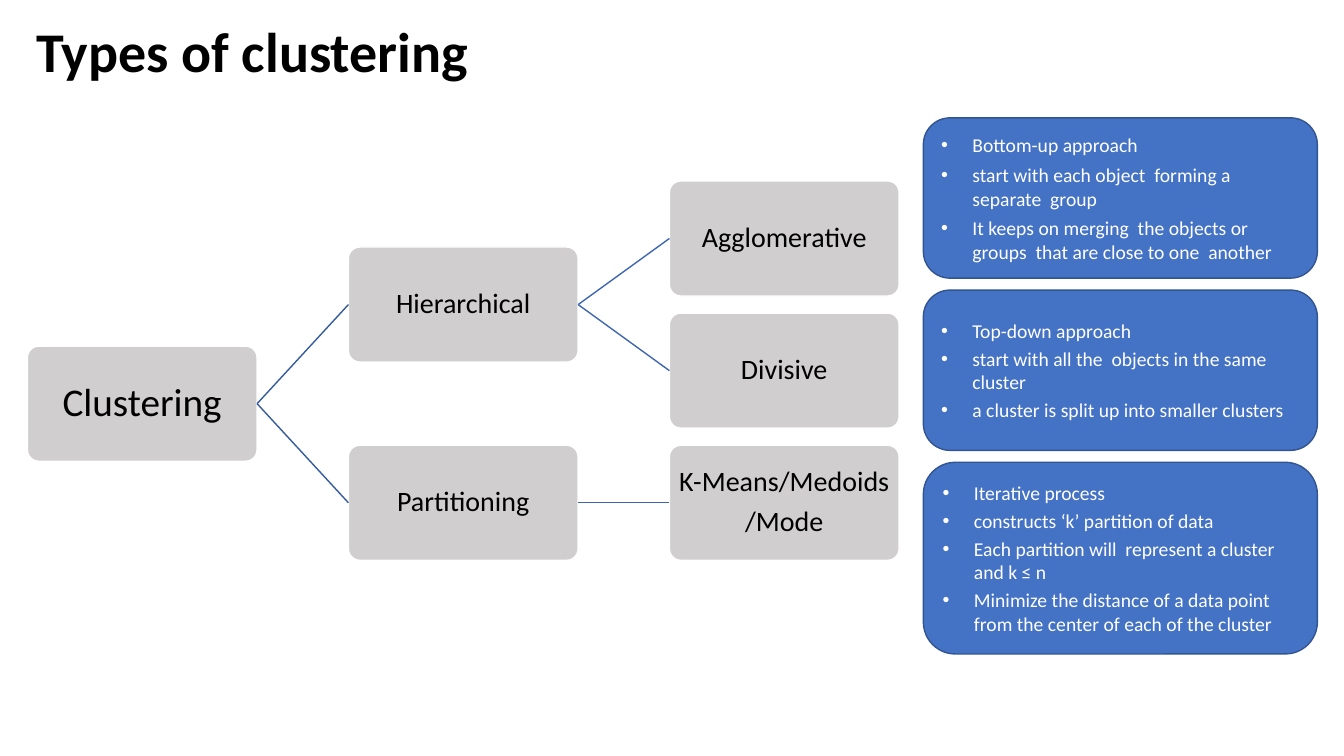
from dataclasses import dataclass

from lxml import etree
from pptx import Presentation
from pptx.dml.color import RGBColor
from pptx.enum.shapes import MSO_CONNECTOR, MSO_SHAPE
from pptx.enum.text import MSO_ANCHOR, PP_ALIGN
from pptx.oxml.ns import qn
from pptx.util import Cm, Pt

ROUND = MSO_SHAPE.ROUNDED_RECTANGLE
STRAIGHT = MSO_CONNECTOR.STRAIGHT
MIDDLE = MSO_ANCHOR.MIDDLE
LEFT, CENTER = PP_ALIGN.LEFT, PP_ALIGN.CENTER
SIDE_LEFT, SIDE_RIGHT = 1, 3


@dataclass(frozen=True)
class Theme:
    font: str = "Calibri"
    ink: str = "000000"
    paper: str = "FFFFFF"
    node: str = "D0CECE"
    card: str = "4472C4"
    rim: str = "325491"
    stem: str = "365B9D"
    twig: str = "3E67B2"
    title: int = 40
    root: int = 28
    label: int = 20
    body: int = 14


class Board:
    def __init__(self, slide, theme):
        self.slide = slide
        self.theme = theme

    def add_text(self, para, text, size, color, bold=False):
        run = para.add_run()
        run.text = text
        run.font.name = self.theme.font
        run.font.size = Pt(size)
        run.font.bold = bold
        run.font.color.rgb = RGBColor.from_string(color)

    def lines(self, frame, count):
        frame.word_wrap = True
        frame.vertical_anchor = MIDDLE
        for _ in range(count - 1):
            frame.add_paragraph()
        return frame.paragraphs

    def title(self, text, left, top, width, height):
        box = self.slide.shapes.add_textbox(Cm(left), Cm(top), Cm(width), Cm(height))
        para = self.lines(box.text_frame, 1)[0]
        para.line_spacing = 0.9
        self.add_text(para, text, self.theme.title, self.theme.ink, bold=True)

    def panel(self, left, top, width, height, fill, line):
        shape = self.slide.shapes.add_shape(ROUND, Cm(left), Cm(top), Cm(width), Cm(height))
        shape.shadow.inherit = False
        shape.fill.solid()
        shape.fill.fore_color.rgb = RGBColor.from_string(fill)
        shape.line.color.rgb = RGBColor.from_string(line)
        shape.line.width = Pt(1)
        return shape

    def node(self, texts, col, row, size):
        left, top = 0.69 + 8.09 * col, 4.56 + 3.33 * row
        shape = self.panel(left, top, 5.79, 2.9, self.theme.node, self.theme.paper)
        shape.adjustments[0] = 0.1
        frame = shape.text_frame
        frame.margin_left = frame.margin_right = Cm(0.05)
        frame.margin_top = frame.margin_bottom = Cm(0.05)
        for para, text in zip(self.lines(frame, len(texts)), texts):
            para.alignment = CENTER
            para.line_spacing = 0.9
            para.space_after = Pt(0.35 * size)
            self.add_text(para, text, size, self.theme.ink)
        return shape

    def card(self, items, left, top, width, height):
        shape = self.panel(left, top, width, height, self.theme.card, self.theme.rim)
        for para, (text, gap) in zip(self.lines(shape.text_frame, len(items)), items):
            para.alignment = LEFT
            para.space_before = Pt(gap)
            self.add_text(para, text, self.theme.body, self.theme.paper)
            self.bullet(para)

    def bullet(self, para):
        props = para._p.get_or_add_pPr()
        props.set("marL", str(Cm(0.79)))
        props.set("indent", str(Cm(-0.79)))
        etree.SubElement(props, qn("a:buFont")).set("typeface", "Arial")
        etree.SubElement(props, qn("a:buChar")).set("char", "•")

    def link(self, start, end, color):
        line = self.slide.shapes.add_connector(STRAIGHT, 0, 0, 0, 0)
        line.begin_connect(start, SIDE_RIGHT)
        line.end_connect(end, SIDE_LEFT)
        line.line.color.rgb = RGBColor.from_string(color)
        line.line.width = Pt(1)
        etree.SubElement(line._element.spPr, qn("a:effectLst"))


BRANCHES = [
    ("Hierarchical", 0.5, [(["Agglomerative"], 0), (["Divisive"], 1)]),
    ("Partitioning", 2, [(["K-Means/Medoids", "/Mode"], 2)]),
]

CARDS = [
    (4.04, [
        ("Bottom-up approach", 3),
        ("start with each object  forming a separate  group", 4.9),
        ("It keeps on merging  the objects or groups  that are close to one  another", 3.9),
    ]),
    (4.04, [
        ("Top-down approach", 3),
        ("start with all the  objects in the same  cluster", 3),
        ("a cluster is split up into smaller clusters", 3),
    ]),
    (4.83, [
        ("Iterative process", 3),
        ("constructs ‘k’ partition of data", 3),
        ("Each partition will  represent a cluster  and k ≤ n", 3),
        ("Minimize the distance of a data point from the center of each of the cluster", 3),
    ]),
]


def main():
    deck = Presentation()
    deck.slide_width, deck.slide_height = Cm(33.87), Cm(19.05)
    theme = Theme()
    board = Board(deck.slides.add_slide(deck.slide_layouts[6]), theme)
    board.title("Types of clustering", 0.66, 0.48, 32.46, 1.8)

    root = board.node(["Clustering"], 0, 1.25, theme.root)
    for name, row, leaves in BRANCHES:
        branch = board.node([name], 1, row, theme.label)
        board.link(root, branch, theme.stem)
        for texts, place in leaves:
            leaf = board.node(texts, 2, place, theme.label)
            board.link(branch, leaf, theme.twig)

    top = 2.97
    for height, items in CARDS:
        board.card(items, 23.27, top, 9.93, height)
        top += height + 0.3

    deck.save("out.pptx")


if __name__ == "__main__":
    main()
